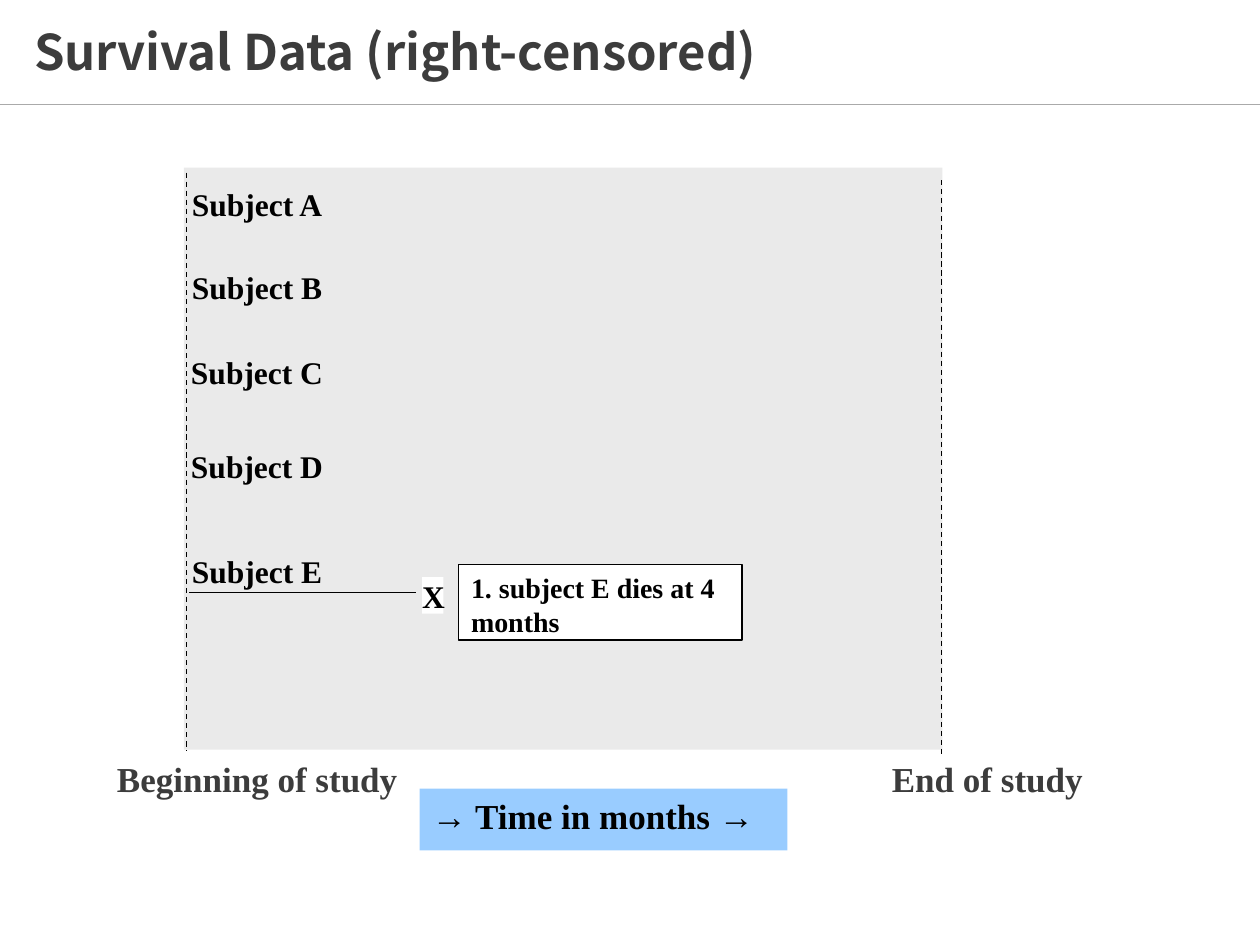
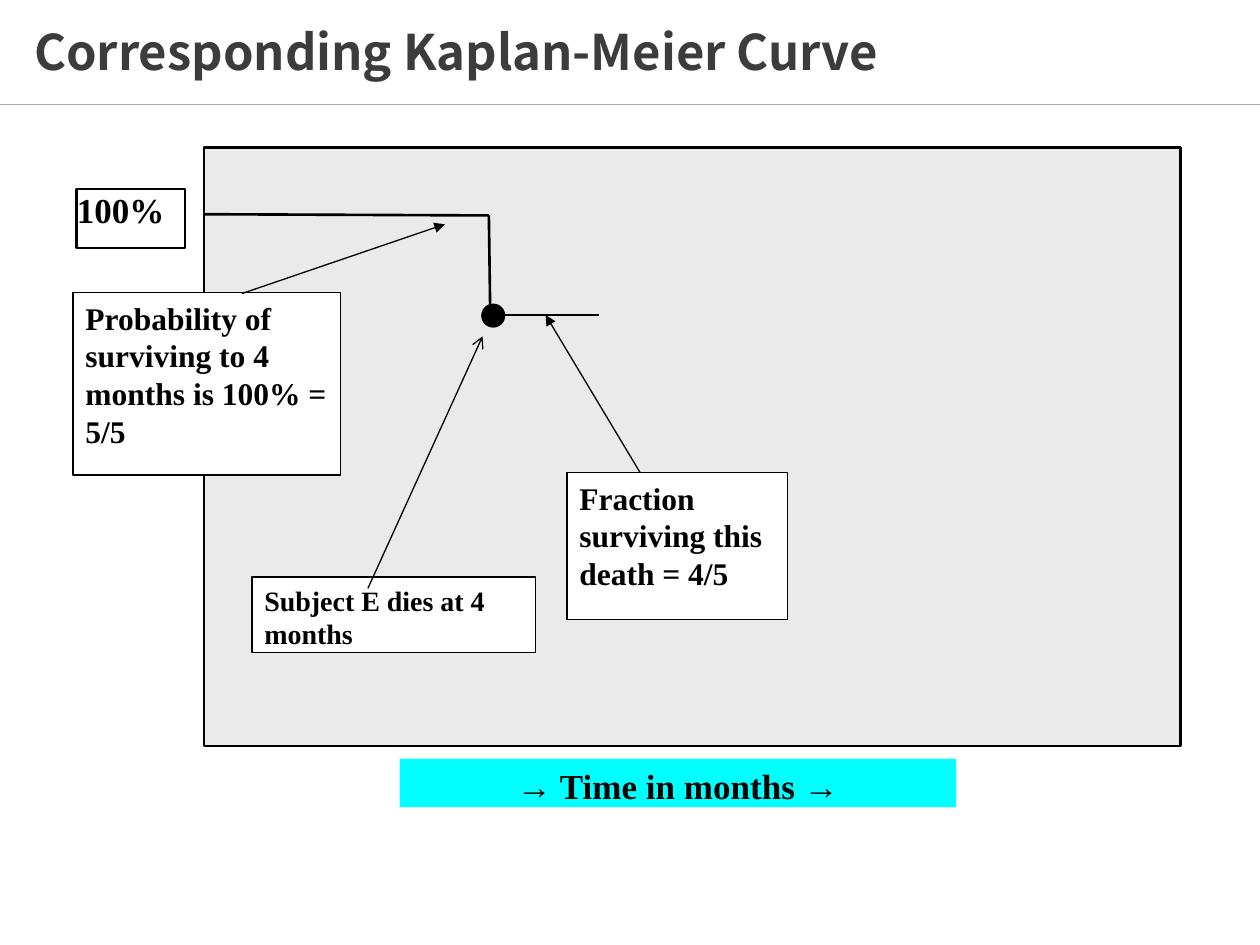
from lxml import etree
from pptx import Presentation
from pptx.dml.color import RGBColor
from pptx.enum.dml import MSO_LINE
from pptx.enum.shapes import MSO_CONNECTOR, MSO_SHAPE
from pptx.enum.text import MSO_ANCHOR, MSO_AUTO_SIZE, PP_ALIGN
from pptx.oxml.ns import qn
from pptx.util import Inches, Pt

RECT, OVAL = MSO_SHAPE.RECTANGLE, MSO_SHAPE.OVAL
STRAIGHT, DASH = MSO_CONNECTOR.STRAIGHT, MSO_LINE.DASH
TOP, MIDDLE = MSO_ANCHOR.TOP, MSO_ANCHOR.MIDDLE
LEFT, CENTER = PP_ALIGN.LEFT, PP_ALIGN.CENTER
NO_AUTOFIT = MSO_AUTO_SIZE.NONE

TITLE_FONT, BODY_FONT = "Noto Sans CJK SC", "Times New Roman"
COLORS = {key: RGBColor.from_string(value) for key, value in {
    "text": "3C3C3C", "black": "000000", "white": "FFFFFF", "rule": "AAAAAA",
    "plot": "EAEAEA", "blue": "99CCFF", "cyan": "00FFFF", "pale": "CCFFFF",
}.items()}
LABEL_INSETS = (0.1, 0.05, 0.1, 0)
NO_INSETS = (0, 0, 0, 0)


def add_box(slide, at, text="", size=18, fill=None, line=None, width=0.75,
            color="black", align=LEFT, insets=(0.1, 0.05, 0.1, 0.05), kind=RECT):
    """Add a filled shape, or a plain text box when no fill is given."""
    place = [Inches(value) for value in at]
    if fill:
        box = slide.shapes.add_shape(kind, *place)
        box.shadow.inherit = False
        box.fill.solid()
        box.fill.fore_color.rgb = COLORS[fill]
        if line:
            box.line.color.rgb = COLORS[line]
            box.line.width = Pt(width)
        else:
            box.line.fill.background()
    else:
        box = slide.shapes.add_textbox(*place)
    if text:
        frame = box.text_frame
        frame.word_wrap = True
        frame.vertical_anchor = TOP
        (frame.margin_left, frame.margin_top,
         frame.margin_right, frame.margin_bottom) = [Inches(i) for i in insets]
        frame.text = text
        paragraph = frame.paragraphs[0]
        paragraph.alignment = align
        font = paragraph.font
        font.name, font.size, font.bold = BODY_FONT, Pt(size), True
        font.color.rgb = COLORS[color]


def add_line(slide, start, end, color="black", width=0.75, dash=None, head=None):
    """Add a straight line, with an arrowhead at its end if head is given."""
    line = slide.shapes.add_connector(
        STRAIGHT, *[Inches(value) for value in (*start, *end)])
    line.line.color.rgb = COLORS[color]
    line.line.width = Pt(width)
    if dash:
        line.line.dash_style = dash
    if head:
        etree.SubElement(line.line._get_or_add_ln(), qn("a:tailEnd"), type=head)
    etree.SubElement(line._element.spPr, qn("a:effectLst"))


prs = Presentation()
prs.slide_width, prs.slide_height = Inches(10), Inches(7.5)

# Shared title and rule
slides = []
for heading in ("Survival Data (right-censored)", "Corresponding Kaplan-Meier Curve"):
    slide = prs.slides.add_slide(prs.slide_layouts[5])
    add_line(slide, (0, 0.83), (10, 0.83), color="rule")
    title = slide.shapes.title
    title.left, title.top = Inches(0.17), Inches(0.16)
    title.width, title.height = Inches(8.42), Inches(0.55)
    title.text_frame.text = heading
    title.text_frame.auto_size = NO_AUTOFIT
    title.text_frame.vertical_anchor = MIDDLE
    paragraph = title.text_frame.paragraphs[0]
    paragraph.alignment = LEFT
    paragraph.line_spacing = 0.9
    paragraph.font.name, paragraph.font.size = TITLE_FONT, Pt(28)
    paragraph.font.bold = True
    paragraph.font.color.rgb = COLORS["text"]
    slides.append(slide)
survival, curve = slides

# Slide 1: study period and its limits
add_box(survival, (1.46, 1.33, 6.02, 4.62), fill="plot")
add_line(survival, (7.47, 1.43), (7.47, 6), dash=DASH)
add_line(survival, (1.48, 1.37), (1.48, 5.96), dash=DASH)
for left, limit in ((0.83, "Beginning of study"), (6.98, "End of study")):
    add_box(survival, (left, 5.96, 3.52, 0.74), limit, size=20, color="text")
add_box(survival, (3.33, 6.26, 2.92, 0.49), "→ Time in months →", size=20, fill="blue")

# Slide 1: subjects
for letter, top in zip("ABCDE", (1.42, 2.08, 2.75, 3.5, 4.33)):
    add_box(survival, (0.75, top, 2.58, 0.35), f"Subject {letter}",
            align=CENTER, insets=LABEL_INSETS)

# Slide 1: death of subject E
add_line(survival, (1.5, 4.7), (3.3, 4.7))
add_box(survival, (3.64, 4.48, 2.25, 0.6), "1. subject E dies at 4 months",
        size=16, fill="white", line="black")
add_box(survival, (3.35, 4.58, 0.17, 0.29), "X", fill="white", insets=NO_INSETS)

# Slide 2: plot area and axis labels
add_box(curve, (1.62, 1.17, 7.75, 4.75), fill="plot", line="black", width=1.5)
add_box(curve, (0.61, 1.5, 0.86, 0.47), "100%", size=20, fill="white",
        line="black", width=1.5, insets=NO_INSETS)
add_box(curve, (3.17, 6.02, 4.42, 0.39), "→ Time in months →", size=20,
        fill="cyan", line="pale", align=CENTER, insets=LABEL_INSETS)

# Slide 2: survival curve
add_line(curve, (1.62, 1.7), (3.88, 1.71), width=1.5)
add_line(curve, (3.88, 1.71), (3.89, 2.42), width=1.5)
add_box(curve, (3.83, 2.42, 0.17, 0.17), fill="black", line="black", width=1.5, kind=OVAL)
add_line(curve, (3.92, 2.5), (4.75, 2.5))

# Slide 2: callouts with their arrows
callouts = (
    ((0.58, 2.32, 2.12, 1.45), "Probability of surviving to 4 months is 100% = 5/5",
     18, (1.92, 2.33), (3.53, 1.78), "triangle"),
    ((4.5, 3.75, 1.75, 1.17), "Fraction surviving this death = 4/5",
     18, (5.08, 3.75), (4.33, 2.5), "triangle"),
    ((2, 4.58, 2.25, 0.6), "Subject E dies at 4 months",
     16, (2.92, 4.67), (3.83, 2.67), "arrow"),
)
for at, remark, size, start, end, head in callouts:
    add_box(curve, at, remark, size=size, fill="white", line="black")
    add_line(curve, start, end, head=head)

prs.save("out.pptx")
